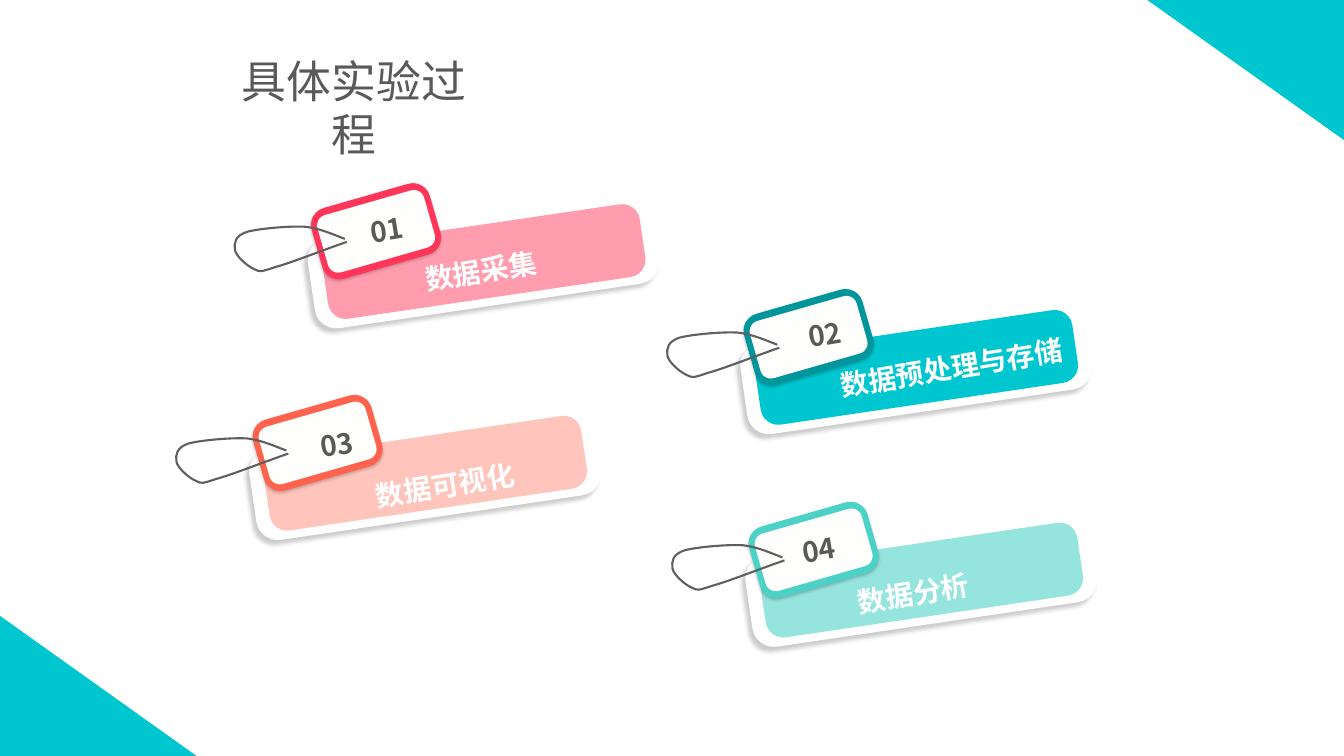
from lxml.etree import SubElement
from pptx import Presentation
from pptx.dml.color import RGBColor
from pptx.enum.shapes import MSO_SHAPE as SHAPE
from pptx.enum.text import PP_ALIGN as ALIGN
from pptx.oxml.ns import qn
from pptx.util import Inches, Pt

FONT = "Noto Sans CJK SC"
WHITE = RGBColor(0xFF, 0xFF, 0xFF)
PAPER = RGBColor(0xFE, 0xFE, 0xFD)
TEXT_GREY = RGBColor(0x59, 0x59, 0x59)
STRING_GREY = RGBColor(0x5F, 0x5F, 0x5F)
TEAL = RGBColor(0x00, 0xC6, 0xCF)
DARK_TEAL = RGBColor(0x00, 0x94, 0x9B)
RED = RGBColor(0xFF, 0x36, 0x59)
PINK = RGBColor(0xFF, 0x9D, 0xAE)
ORANGE = RGBColor(0xFF, 0x63, 0x4E)
PEACH = RGBColor(0xFF, 0xC5, 0xBD)
MINT = RGBColor(0x4B, 0xD1, 0xC6)
PALE_MINT = RGBColor(0x96, 0xE4, 0xDE)

CARD_TURN, LABEL_TURN, TEXT_TURN = 351.6, 344, 350.7
# Shadows: blur and distance in points, direction in degrees
CARD_SHADOW = (3, 4, 135)
LABEL_SHADOW = (2, 1, 100)
# Start point, then three points for each Bezier curve, from the card's corner
STRING = [
    (0.35, 0.23),
    (0.24, 0.19), (0.12, 0.13), (-0.04, 0.11),
    (-0.21, 0.10), (-0.51, 0.13), (-0.62, 0.16),
    (-0.74, 0.20), (-0.75, 0.27), (-0.74, 0.34),
    (-0.73, 0.40), (-0.62, 0.50), (-0.55, 0.53),
    (-0.49, 0.56), (-0.49, 0.56), (-0.34, 0.51),
    (-0.19, 0.47), (0.11, 0.35), (0.37, 0.26),
]
# Number, title, card corner, number offset, title offset, label colour, card colour
TAGS = [
    ("01", "数据采集", (3.07, 2.14), (0.50, -0.16), (1.03, 0.17), RED, PINK),
    ("03", "数据可视化", (2.49, 4.24), (0.58, -0.13), (1.12, 0.22), ORANGE, PEACH),
    ("02", "数据预处理与存储", (7.36, 3.19), (0.55, -0.17), (0.86, 0.17), DARK_TEAL, TEAL),
    ("04", "数据分析", (7.41, 5.30), (0.44, -0.14), (0.98, 0.21), MINT, PALE_MINT),
]


class Board:
    """Draws on the current shape collection, measured from a movable origin."""

    def __init__(self, slide):
        self.slide = slide
        self.shapes = slide.shapes
        self.origin = (0, 0)

    def start_group(self, origin):
        self.shapes = self.slide.shapes.add_group_shape().shapes
        self.origin = origin

    def place(self, x, y):
        return Inches(self.origin[0] + x), Inches(self.origin[1] + y)

    def shape(self, kind, x, y, w, h, fill, turn=0, adj=None, shadow=None):
        sp = self.shapes.add_shape(kind, *self.place(x, y), Inches(w), Inches(h))
        sp.rotation = turn
        if adj is not None:
            sp.adjustments[0] = adj
        sp.fill.solid()
        sp.fill.fore_color.rgb = fill
        sp.line.fill.background()
        sp.shadow.inherit = False
        if shadow:
            self.cast_shadow(sp, *shadow)

    def cast_shadow(self, sp, blur, distance, direction):
        effects = sp._element.spPr.find(qn("a:effectLst"))
        outer = SubElement(effects, qn("a:outerShdw"), blurRad=str(Pt(blur)),
                           dist=str(Pt(distance)), dir=str(direction * 60000),
                           algn="ctr", rotWithShape="0")
        color = SubElement(outer, qn("a:srgbClr"), val="000000")
        SubElement(color, qn("a:alpha"), val="20000")

    def curve(self, points, color, width):
        """Draw an open chain of Bezier curves."""
        corners = [self.place(x, y) for x, y in points]
        builder = self.shapes.build_freeform(*corners[0], scale=1.0)
        builder.add_line_segments(corners[1:], close=False)
        sp = builder.convert_to_shape()
        sp.fill.background()
        sp.line.color.rgb = color
        sp.line.width = Pt(width)
        sp.shadow.inherit = False
        steps = sp._element.xpath(".//a:lnTo")
        for first, second, third in zip(steps[::3], steps[1::3], steps[2::3]):
            first.tag = qn("a:cubicBezTo")
            for step in (second, third):
                first.append(step[0])
                step.getparent().remove(step)

    def text(self, words, x, y, w, h, size, color, turn=0, bold=False,
             align=ALIGN.JUSTIFY, spacing=1.2):
        box = self.shapes.add_textbox(*self.place(x, y), Inches(w), Inches(h))
        box.rotation = turn
        tf = box.text_frame
        tf.word_wrap = True
        p = tf.paragraphs[0]
        p.text = words
        p.alignment = align
        p.line_spacing = spacing
        p.font.name = FONT
        p.font.size = Pt(size)
        p.font.bold = bold
        p.font.color.rgb = color
        SubElement(p.font._element, qn("a:ea"), typeface=FONT)

    def tag(self, number, title, corner, number_at, title_at, label, card):
        self.start_group(corner)
        rounded = SHAPE.ROUNDED_RECTANGLE
        self.shape(rounded, 0, 0, 3.45, 0.9, WHITE, CARD_TURN, 0.24, CARD_SHADOW)
        self.shape(rounded, 0.14, 0.09, 3.18, 0.73, card, CARD_TURN, 0.24)
        self.shape(rounded, 0.05, -0.21, 1.22, 0.73, label, LABEL_TURN, 0.24, LABEL_SHADOW)
        self.shape(rounded, 0.11, -0.14, 1.1, 0.59, PAPER, LABEL_TURN, 0.18)
        self.shape(SHAPE.OVAL, 0.2, 0.17, 0.18, 0.18, WHITE)
        self.curve(STRING, STRING_GREY, 1.5)
        self.text(title, *title_at, 2.45, 0.5, 20, WHITE, TEXT_TURN, True)
        self.text(number, *number_at, 0.69, 0.5, 20, TEXT_GREY, TEXT_TURN, True)


def main():
    prs = Presentation()
    prs.slide_width, prs.slide_height = Inches(13.33), Inches(7.5)
    board = Board(prs.slides.add_slide(prs.slide_layouts[6]))
    for x, y, turn in ((11.38, 0, 180), (0, 6.11, 0)):
        board.shape(SHAPE.ISOSCELES_TRIANGLE, x, y, 1.95, 1.39, TEAL, turn, adj=0)
    board.text("具体实验过程", 2.08, 0.48, 2.86, 0.63, 32, TEXT_GREY,
               align=ALIGN.CENTER, spacing=1.0)
    for tag in TAGS:
        board.tag(*tag)
    prs.save("out.pptx")


if __name__ == "__main__":
    main()
